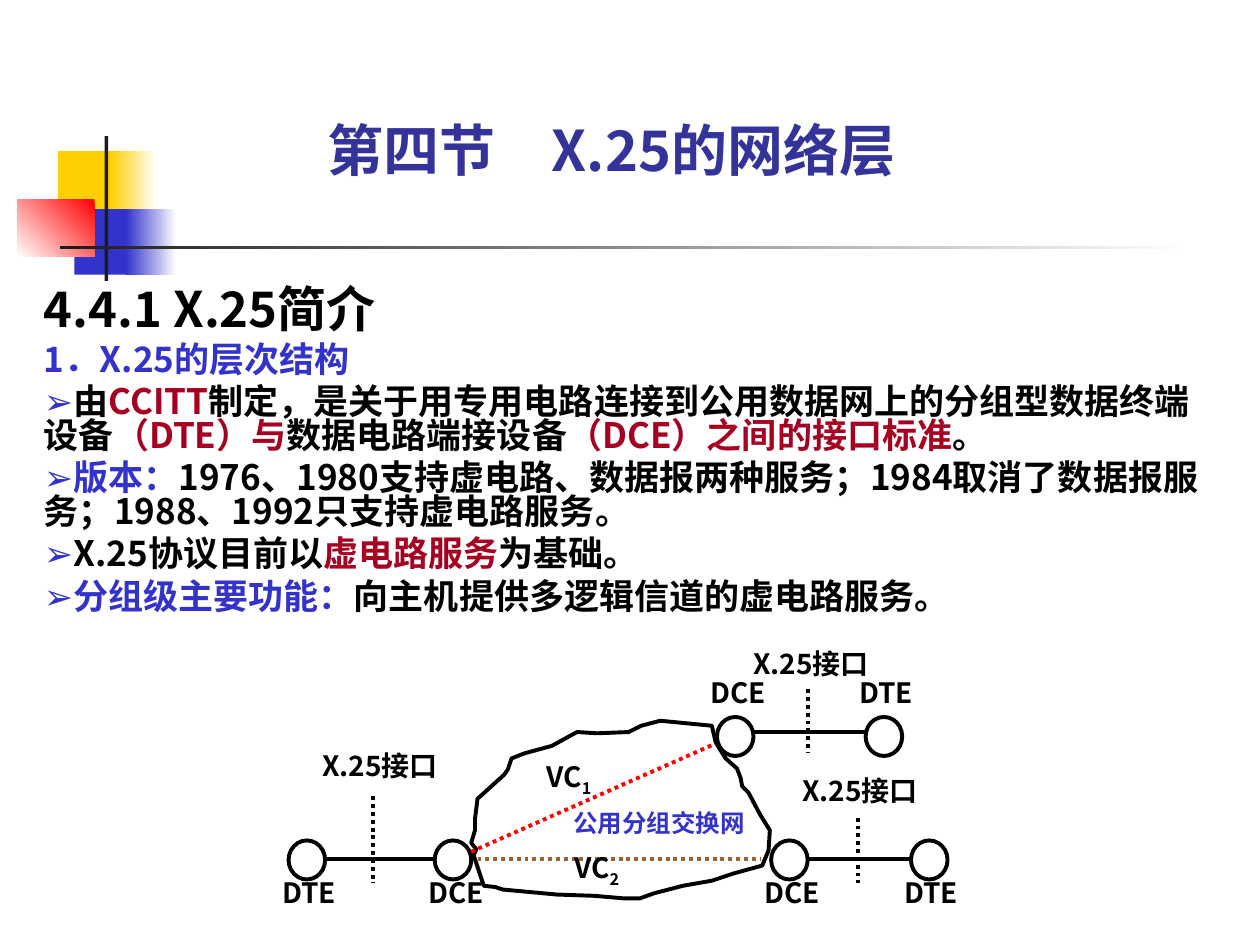
from lxml import etree
from pptx import Presentation
from pptx.dml.color import RGBColor
from pptx.enum.dml import MSO_LINE
from pptx.enum.shapes import MSO_CONNECTOR, MSO_SHAPE
from pptx.enum.text import MSO_ANCHOR, MSO_AUTO_SIZE, PP_ALIGN
from pptx.oxml.ns import qn
from pptx.util import Inches, Pt

RECT, OVAL = MSO_SHAPE.RECTANGLE, MSO_SHAPE.OVAL
STRAIGHT, DOTTED = MSO_CONNECTOR.STRAIGHT, MSO_LINE.ROUND_DOT
LEFT, BOTTOM, NO_FIT = PP_ALIGN.LEFT, MSO_ANCHOR.BOTTOM, MSO_AUTO_SIZE.NONE

# The slide is a grid of 1000 columns by 750 rows; all lengths count its cells
CELL = Inches(10) // 1000
FONT, MARK_FONT, MARK = "Noto Sans CJK SC", "Arial", "➢"
BLACK, BLUE, CRIMSON, WHITE = "000000", "3333CC", "A50021", "FFFFFF"
YELLOW, RED, CHARCOAL, BROWN, NAVY = "FFCF01", "FF0000", "1C1C1C", "996633", "333399"
STROKE = 2.25
NODE_W, NODE_H = 29, 31

BODY = [
    (28, [("4.4.1 X.25简介", BLACK)]),
    (20, [("1．X.25的层次结构", BLUE)]),
    (20, [(MARK, BLUE), ("由", BLACK), ("CCITT", CRIMSON),
          ("制定，是关于用专用电路连接到公用数据网上的分组型数据终端设备", BLACK),
          ("（DTE）与", CRIMSON), ("数据电路端接设备", BLACK),
          ("（DCE）之间的接口标准", CRIMSON), ("。", BLACK)]),
    (20, [(MARK, BLUE), ("版本：", BLUE),
          ("1976、1980支持虚电路、数据报两种服务；1984取消了数据报服务；"
           "1988、1992只支持虚电路服务。", BLACK)]),
    (20, [(MARK, BLUE), ("X.25协议目前以", BLACK), ("虚电路服务", CRIMSON),
          ("为基础。", BLACK)]),
    (20, [(MARK, BLUE), ("分组级主要功能：", BLUE),
          ("向主机提供多逻辑信道的虚电路服务。", BLACK)]),
]

# Cloud outline, clockwise from the DCE on the left
CLOUD = [
    (374, 669), (377, 659), (377, 650), (379, 634), (400, 615), (403, 611),
    (406, 602), (416, 598), (438, 592), (458, 581), (474, 582), (499, 581),
    (509, 576), (524, 572), (565, 576), (568, 589), (571, 594), (576, 602),
    (585, 610), (588, 618), (589, 624), (594, 629), (603, 646), (611, 659),
    (610, 675), (605, 687), (583, 693), (565, 699), (542, 703), (519, 709),
    (508, 713), (495, 713), (472, 711), (442, 710), (399, 706), (393, 704),
    (384, 703), (381, 694), (376, 679), (378, 674),
]


def color(value):
    return RGBColor.from_string(value)


def cells(*counts):
    return [CELL * count for count in counts]


def style(paragraph, size, shade):
    paragraph.alignment = LEFT
    font = paragraph.font
    font.size, font.bold, font.name = Pt(size), True, FONT
    font.color.rgb = color(shade)
    latin = paragraph._p.pPr.find(qn("a:defRPr")).find(qn("a:latin"))
    east_asian = etree.Element(qn("a:ea"), typeface=FONT)
    latin.addnext(east_asian)


def block(slide, box, fill, fade_to=None, angle=180):
    shape = slide.shapes.add_shape(RECT, *cells(*box))
    shape.shadow.inherit = False
    shape.line.fill.background()
    if fade_to is None:
        shape.fill.solid()
        shape.fill.fore_color.rgb = color(fill)
        return
    shape.fill.gradient()
    shape.fill.gradient_angle = angle
    for stop, shade in zip(shape.fill.gradient_stops, (fill, fade_to)):
        stop.color.rgb = color(shade)


def line(slide, start, end, shade=BLACK, dotted=False):
    connector = slide.shapes.add_connector(STRAIGHT, *cells(*start, *end))
    connector.line.color.rgb = color(shade)
    connector.line.width = Pt(STROKE)
    if dotted:
        connector.line.dash_style = DOTTED
    etree.SubElement(connector._element.spPr, qn("a:effectLst"))


def outline(shape):
    shape.shadow.inherit = False
    shape.fill.background()
    shape.line.color.rgb = color(BLACK)
    shape.line.width = Pt(STROKE)


def label(slide, left, top, width, text, subscript="", size=16, shade=BLACK):
    frame = slide.shapes.add_textbox(*cells(left, top, width, 51)).text_frame
    frame.word_wrap = False
    paragraph = frame.paragraphs[0]
    style(paragraph, size, shade)
    paragraph.add_run().text = text
    if subscript:
        run = paragraph.add_run()
        run.text = subscript
        run._r.get_or_add_rPr().set("baseline", "-25000")


def add_decoration(slide, left, top):
    """Coloured squares and the crossing rules beside the title."""
    block(slide, (left + 32, top + 12, 48, 52), YELLOW)
    block(slide, (left + 74, top + 12, 36, 52), WHITE, YELLOW)
    block(slide, (left + 45, top + 58, 46, 52), BLUE)
    block(slide, (left + 86, top + 58, 40, 52), WHITE, BLUE)
    block(slide, (left, top + 50, 61, 46), RED, WHITE, angle=225)
    block(slide, (left + 69, top, 3, 115), CHARCOAL)
    block(slide, (left + 34, top + 87, 900, 3), WHITE, CHARCOAL)


def add_title(slide, box):
    title = slide.shapes.title
    title.left, title.top, title.width, title.height = cells(*box)
    frame = title.text_frame
    frame.text = "第四节　X.25的网络层"
    frame.vertical_anchor, frame.auto_size = BOTTOM, NO_FIT
    style(frame.paragraphs[0], 32, NAVY)


def add_body(slide, box):
    frame = slide.shapes.add_textbox(*cells(*box)).text_frame
    frame.word_wrap = True
    for index, (size, parts) in enumerate(BODY):
        paragraph = frame.add_paragraph() if index else frame.paragraphs[0]
        paragraph.line_spacing = 0.8
        if index:
            paragraph.space_before = Pt(5)
        style(paragraph, size, BLACK)
        for text, shade in parts:
            run = paragraph.add_run()
            run.text = text
            run.font.color.rgb = color(shade)
            if text == MARK:
                run.font.name = MARK_FONT


def add_access_link(slide, left, top, gap, names, name_dy, port, divider, wire_dy=15):
    """Two nodes joined by a wire, with the X.25 interface marked across it."""
    for index, name in enumerate(names):
        x = left + index * gap
        outline(slide.shapes.add_shape(OVAL, *cells(x, top, NODE_W, NODE_H)))
        label(slide, x - 15, top + name_dy, 64, name)
    line(slide, (left + NODE_W, top + wire_dy), (left + gap, top + wire_dy))
    x, upper, lower = divider
    line(slide, (left + x, top + upper), (left + x, top + lower), dotted=True)
    label(slide, left + port[0], top + port[1], 117, "X.25接口")


def add_cloud(slide, left, top):
    """Public packet network with its two virtual circuits."""
    builder = slide.shapes.build_freeform(*CLOUD[0], scale=CELL)
    builder.add_line_segments(CLOUD[1:], close=True)
    outline(builder.convert_to_shape())
    line(slide, (left, top + 104), (left + 192, top + 19), RED, dotted=True)
    line(slide, (left + 5, top + 110), (left + 229, top + 110), BROWN, dotted=True)
    label(slide, left + 50, top + 26, 64, "VC", "1")
    label(slide, left + 72, top + 98, 64, "VC", "2")
    label(slide, left + 71, top + 64, 193, "公用分组交换网", size=14, shade=BLUE)


def main():
    deck = Presentation()
    deck.slide_width, deck.slide_height = Inches(10), Inches(7.5)
    slide = deck.slides.add_slide(deck.slide_layouts[5])
    add_decoration(slide, 14, 108)
    add_title(slide, (250, 82, 558, 68))
    add_body(slide, (25, 225, 942, 283))

    # Network diagram
    add_access_link(slide, 229, 667, 116, ("DTE", "DCE"), 23, (17, -78), (67, -35, 34))
    add_access_link(slide, 569, 569, 118, ("DCE", "DTE"), -38, (19, -61),
                    (72, -22, 29), wire_dy=12)
    add_access_link(slide, 612, 667, 111, ("DCE", "DTE"), 23, (15, -58), (69, -18, 34))
    add_cloud(slide, 374, 572)
    deck.save("out.pptx")


if __name__ == "__main__":
    main()
